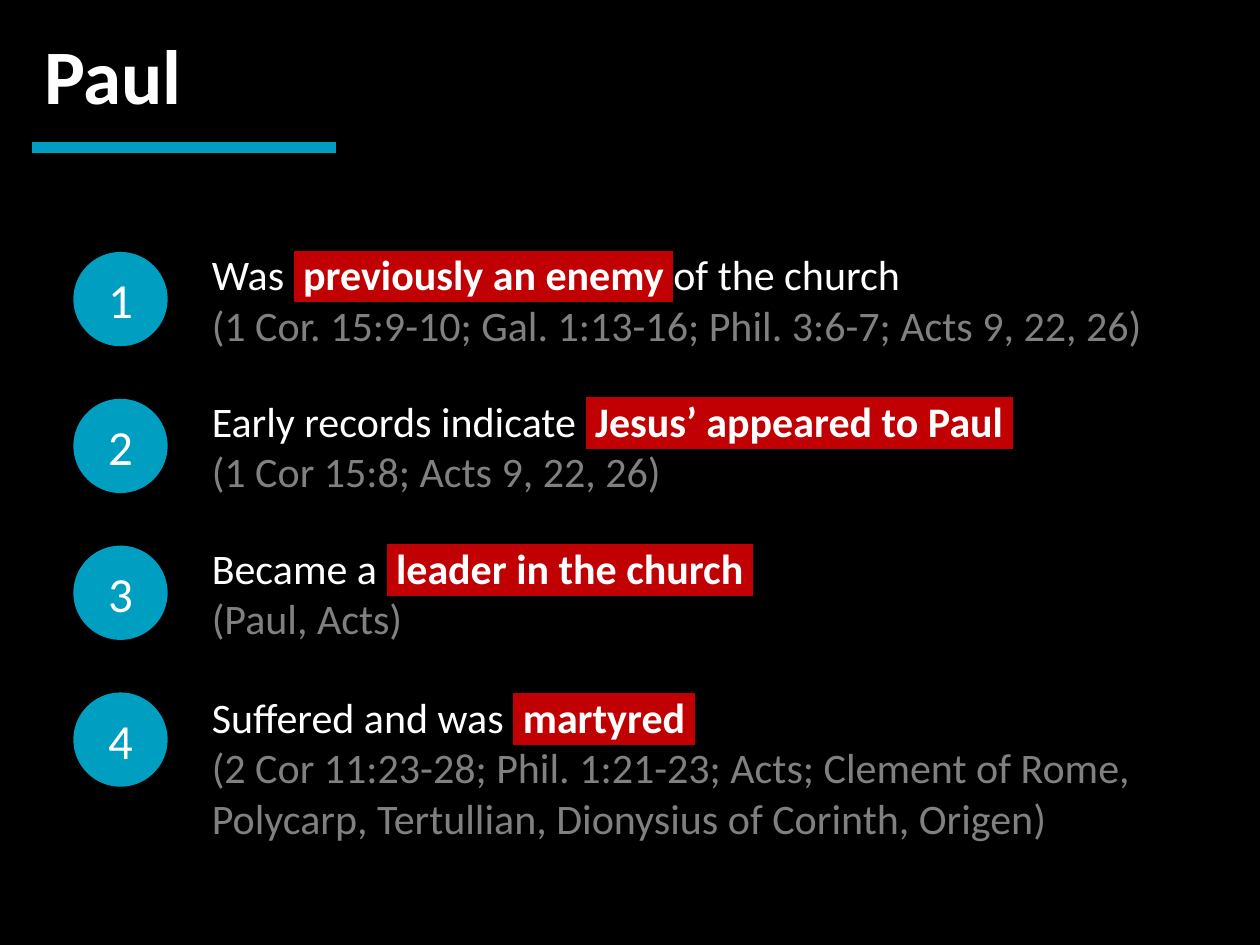
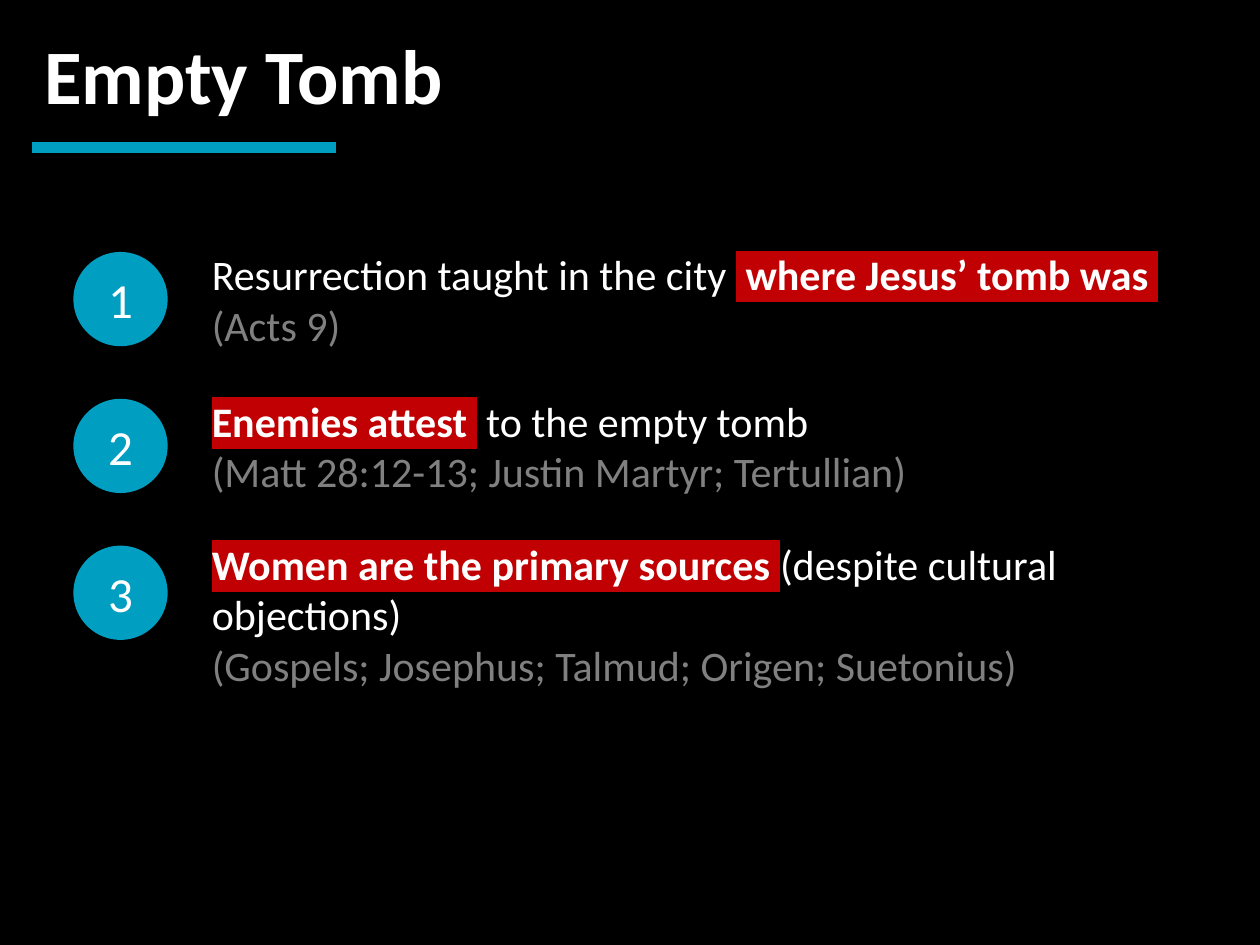
from dataclasses import dataclass

import pptx
import pptx.util
import pptx.dml.color
import pptx.enum.shapes
import pptx.enum.text
import pptx.oxml.ns
from lxml import etree

Cm = pptx.util.Cm
Pt = pptx.util.Pt
Anchor = pptx.enum.text.MSO_ANCHOR


@dataclass(frozen=True)
class Theme:
    font: str = "Calibri"
    back: str = "000000"
    main: str = "FFFFFF"
    accent: str = "009EC0"
    mark: str = "C00002"
    cite: str = "808080"
    title: int = 44
    badge: int = 28
    body: int = 24
    rule: int = 6


THEME = Theme()

# Grid of the numbered points, in cm
TOP, PITCH = 5.08, 2.96
DISC_X, DISC = 1.48, 1.9
TEXT_X, TEXT_W = 4.02, 19.69


def rgb(code):
    return pptx.dml.color.RGBColor.from_string(code)


def add_sub(parent, tag):
    return etree.SubElement(parent, pptx.oxml.ns.qn(tag))


def add_run(para, text, size, color=THEME.main, bold=False, mark=None):
    run = para.add_run()
    run.text = text
    font = run.font
    font.size, font.bold = Pt(size), bold
    font.color.rgb = rgb(color)
    if mark:
        glow = add_sub(font._element, "a:highlight")
        add_sub(glow, "a:srgbClr").set("val", mark)
    font.name = THEME.font


def add_title(slide, text):
    box = slide.shapes.add_textbox(Cm(0.64), Cm(0.43), Cm(23.93), Cm(2.13))
    frame = box.text_frame
    frame.word_wrap = True
    frame.auto_size = pptx.enum.text.MSO_AUTO_SIZE.SHAPE_TO_FIT_TEXT
    add_run(frame.paragraphs[0], text, THEME.title, bold=True)


def add_rule(slide):
    kind = pptx.enum.shapes.MSO_CONNECTOR.STRAIGHT
    rule = slide.shapes.add_connector(kind, Cm(0.64), Cm(2.97), Cm(6.78), Cm(2.97))
    rule.line.color.rgb = rgb(THEME.accent)
    rule.line.width = Pt(THEME.rule)
    add_sub(rule._element.spPr, "a:effectLst")


def add_badge(shapes, num, top):
    kind = pptx.enum.shapes.MSO_SHAPE.OVAL
    disc = shapes.add_shape(kind, Cm(DISC_X), Cm(top), Cm(DISC), Cm(DISC))
    disc.shadow.inherit = False
    disc.fill.solid()
    disc.fill.fore_color.rgb = rgb(THEME.accent)
    disc.line.fill.background()
    frame = disc.text_frame
    frame.vertical_anchor = Anchor.MIDDLE
    para = frame.paragraphs[0]
    para.alignment = pptx.enum.text.PP_ALIGN.CENTER
    add_run(para, str(num), THEME.badge)


def add_point(slide, num, point):
    """Numbered disc beside a claim (lead, marked words, tail) and its sources."""
    (lead, key, tail), cite, drop, height = point
    top = TOP + PITCH * (num - 1)
    shapes = slide.shapes.add_group_shape().shapes
    add_badge(shapes, num, top)

    box = shapes.add_textbox(Cm(TEXT_X), Cm(top + drop), Cm(TEXT_W), Cm(height))
    frame = box.text_frame
    frame.word_wrap = True
    frame.vertical_anchor = Anchor.MIDDLE
    claim = frame.paragraphs[0]
    if lead:
        add_run(claim, lead, THEME.body)
    add_run(claim, key, THEME.body, bold=True, mark=THEME.mark)
    if tail:
        add_run(claim, tail, THEME.body)
    add_run(frame.add_paragraph(), cite, THEME.body, THEME.cite)


def add_slide(deck, title, points):
    slide = deck.slides.add_slide(deck.slide_layouts[6])
    slide.background.fill.solid()
    slide.background.fill.fore_color.rgb = rgb(THEME.back)
    add_title(slide, title)
    for num, point in enumerate(points, 1):
        add_point(slide, num, point)
    add_rule(slide)


# Each point: claim parts, sources, text drop and text height in cm
PAUL = [
    (("Was ", " previously an enemy ", "of the church"),
     "(1 Cor. 15:9-10; Gal. 1:13-16; Phil. 3:6-7; Acts 9, 22, 26)", 0, DISC),
    (("Early records indicate ", " Jesus’ appeared to Paul ", ""),
     "(1 Cor 15:8; Acts 9, 22, 26)", 0, DISC),
    (("Became a ", " leader in the church ", ""), "(Paul, Acts)", 0, DISC),
    (("Suffered and was ", " martyred ", ""),
     "(2 Cor 11:23-28; Phil. 1:21-23; Acts; Clement of Rome, "
     "Polycarp, Tertullian, Dionysius of Corinth, Origen)", 0, 3),
]
TOMB = [
    (("Resurrection taught in the city ", " where Jesus’ tomb was ", ""),
     "(Acts 9)", 0, DISC),
    (("", "Enemies attest ", " to the empty tomb"),
     "(Matt 28:12-13; Justin Martyr; Tertullian)", 0, DISC),
    (("", "Women are the primary sources ", "(despite cultural objections)"),
     "(Gospels; Josephus; Talmud; Origen; Suetonius)", 0.43, DISC),
]


def main():
    deck = pptx.Presentation()
    deck.slide_width, deck.slide_height = Cm(25.4), Cm(19.05)
    add_slide(deck, "Paul", PAUL)
    add_slide(deck, "Empty Tomb", TOMB)
    deck.save("out.pptx")


if __name__ == "__main__":
    main()
